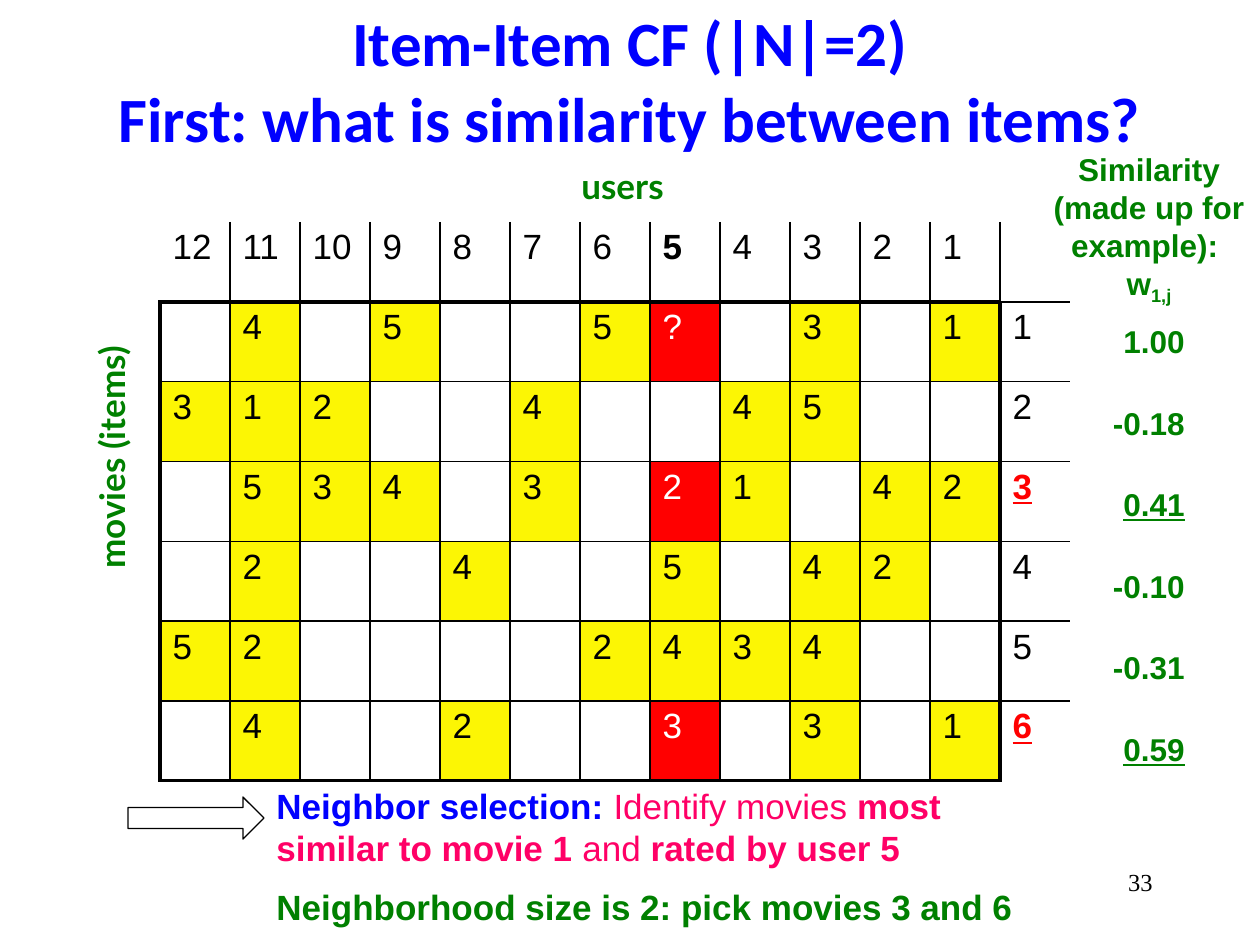
from dataclasses import dataclass

from lxml import etree
from pptx import Presentation
from pptx import util as u
from pptx.dml.color import RGBColor
from pptx.enum import shapes, text
from pptx.oxml.ns import qn


@dataclass(frozen=True)
class Theme:
    black: str = "000000"
    white: str = "FFFFFF"
    blue: str = "0000FF"
    green: str = "008000"
    pink: str = "FF0066"
    red: str = "FF0000"
    yellow: str = "FCF604"
    title_font: str = "Calibri"
    label_font: str = "Lato"
    body_font: str = "Arial"
    number_font: str = "Times New Roman"
    title_size: int = 36
    body_size: int = 20
    weight_size: int = 18
    number_size: int = 14
    thin: float = 1
    thick: float = 2.25


THEME = Theme()
EMU_PER_PX = 914400 / 126

RATINGS = [row.split() for row in (
    ". 4 . 5 . . 5 ? . 3 . 1",
    "3 1 2 . . 4 . . 4 5 . .",
    ". 5 3 4 . 3 . 2 1 . 4 2",
    ". 2 . . 4 . . 5 . 4 2 .",
    "5 2 . . . . 2 4 3 4 . .",
    ". 4 . . 2 . . 3 . 3 . 1",
)]
WEIGHTS = ["1.00", "-0.18", "0.41", "-0.10", "-0.31", "0.59"]
USER_COUNT = len(RATINGS[0])
MOVIE_COUNT = len(RATINGS)
TARGET_USER = 5
TARGET_MOVIE = 1
NEIGHBORS = (3, 6)


def px(length):
    return round(length * EMU_PER_PX)


def place(box):
    return [px(length) for length in box]


def add_run(paragraph, words, color, size=THEME.body_size, font=THEME.body_font,
            bold=True, underline=False):
    run = paragraph.add_run()
    run.text = words
    run.font.name = font
    run.font.size = u.Pt(size)
    run.font.bold = bold
    run.font.underline = underline
    run.font.color.rgb = RGBColor.from_string(color)
    return run


def add_text_box(slide, box, align=text.PP_ALIGN.LEFT, anchor=text.MSO_ANCHOR.TOP):
    shape = slide.shapes.add_textbox(*place(box))
    shape.text_frame.word_wrap = True
    shape.text_frame.vertical_anchor = anchor
    shape.text_frame.paragraphs[0].alignment = align
    return shape


def add_title(slide, box):
    shape = add_text_box(slide, box, text.PP_ALIGN.CENTER, text.MSO_ANCHOR.MIDDLE)
    paragraph = shape.text_frame.paragraphs[0]
    style = (THEME.blue, THEME.title_size, THEME.title_font)
    add_run(paragraph, "Item-Item CF (|N|=2)", *style)
    paragraph.add_line_break()
    add_run(paragraph, "First: what is similarity between items?", *style)


def add_axis_label(slide, box, words, rotation=0):
    shape = add_text_box(slide, box)
    shape.rotation = rotation
    add_run(shape.text_frame.paragraphs[0], words, THEME.green, font=THEME.label_font)


def horizontal_rule(line, column):
    outside = column == USER_COUNT
    if line == 0 or (outside and line == MOVIE_COUNT + 1):
        return 0
    framed = line in (1, MOVIE_COUNT + 1) and not outside
    return THEME.thick if framed else THEME.thin


def vertical_rule(line, row):
    if line == USER_COUNT + 1 or (line == 0 and row == 0):
        return 0
    framed = line in (0, USER_COUNT) and row > 0
    return THEME.thick if framed else THEME.thin


def set_border(cell, tag, width):
    properties = cell._tc.get_or_add_tcPr()
    line = etree.SubElement(properties, qn(tag), w=str(u.Pt(width)))
    if width:
        fill = etree.SubElement(line, qn("a:solidFill"))
        etree.SubElement(fill, qn("a:srgbClr"), val=THEME.black)
    else:
        etree.SubElement(line, qn("a:noFill"))


def style_cell(cell, row, column, words):
    set_border(cell, "a:lnL", vertical_rule(column, row))
    set_border(cell, "a:lnR", vertical_rule(column + 1, row))
    set_border(cell, "a:lnT", horizontal_rule(row, column))
    set_border(cell, "a:lnB", horizontal_rule(row + 1, column))

    user = USER_COUNT - column
    is_rating = row > 0 and user > 0 and words
    highlighted = is_rating and user == TARGET_USER and row in (TARGET_MOVIE, *NEIGHBORS)
    is_neighbor = user == 0 and row in NEIGHBORS
    if is_rating:
        cell.fill.solid()
        fill_color = THEME.red if highlighted else THEME.yellow
        cell.fill.fore_color.rgb = RGBColor.from_string(fill_color)
    else:
        cell.fill.background()
    if words:
        color = THEME.white if highlighted else THEME.red if is_neighbor else THEME.black
        bold = is_neighbor or (row == 0 and user == TARGET_USER)
        add_run(cell.text_frame.paragraphs[0], words, color, bold=bold, underline=is_neighbor)


def add_ratings_table(slide, box):
    header = [str(user) for user in range(USER_COUNT, 0, -1)] + [""]
    body = [[value.replace(".", "") for value in ratings] + [str(movie)]
            for movie, ratings in enumerate(RATINGS, 1)]
    grid = [header] + body
    table = slide.shapes.add_table(len(grid), len(header), *place(box)).table
    table.first_row = False
    table.horz_banding = False
    for row, values in enumerate(grid):
        for column, words in enumerate(values):
            style_cell(table.cell(row, column), row, column, words)


def add_similarity_heading(slide, box):
    frame = add_text_box(slide, box, text.PP_ALIGN.CENTER).text_frame
    style = (THEME.green, THEME.weight_size)
    add_run(frame.paragraphs[0], "Similarity (made up for example): ", *style)
    symbol = frame.add_paragraph()
    symbol.alignment = text.PP_ALIGN.CENTER
    add_run(symbol, "w", *style)
    subscript = add_run(symbol, "1,j", *style)
    subscript.font._element.set("baseline", "-25000")


def add_weights(slide, box):
    frame = add_text_box(slide, box).text_frame
    for movie, weight in enumerate(WEIGHTS, 1):
        paragraph = frame.paragraphs[0] if movie == 1 else frame.add_paragraph()
        paragraph.alignment = text.PP_ALIGN.RIGHT
        paragraph.space_before = u.Pt(0 if movie == 1 else 25)
        add_run(paragraph, weight, THEME.green, THEME.weight_size,
                underline=movie in NEIGHBORS)


def add_neighbor_note(slide, box):
    left, top, width, height = box
    arrow = slide.shapes.add_shape(shapes.MSO_SHAPE.RIGHT_ARROW,
                                   *place((left, top + 19, 136, 42)))
    arrow.shadow.inherit = False
    arrow.fill.background()
    arrow.line.color.rgb = RGBColor.from_string(THEME.black)
    arrow.line.width = u.Pt(0.75)

    frame = add_text_box(slide, (left + 136, top, width - 136, height)).text_frame
    selection = frame.paragraphs[0]
    add_run(selection, "Neighbor selection: ", THEME.blue)
    for words, bold in (("Identify movies ", False), ("most similar to movie 1", True),
                        (" and ", False), ("rated by user 5", True)):
        add_run(selection, words, THEME.pink, bold=bold)
    size_note = frame.add_paragraph()
    size_note.space_before = u.Pt(10)
    add_run(size_note, "Neighborhood size is 2: pick movies 3 and 6", THEME.green)


def add_slide_number(slide, box):
    shape = add_text_box(slide, box, text.PP_ALIGN.RIGHT)
    add_run(shape.text_frame.paragraphs[0], "33", THEME.black, THEME.number_size,
            THEME.number_font, bold=False)


def main():
    presentation = Presentation()
    presentation.slide_width, presentation.slide_height = px(1260), px(945)
    slide = presentation.slides.add_slide(presentation.slide_layouts[6])
    add_title(slide, (63, 0, 1134, 158))
    add_ratings_table(slide, (160, 222, 910, 559))
    add_axis_label(slide, (569, 158, 150, 55), "users")
    add_axis_label(slide, (-39, 403, 301, 55), "movies (items)", 270)
    add_similarity_heading(slide, (1018, 144, 262, 183))
    add_weights(slide, (1073, 316, 124, 454))
    add_neighbor_note(slide, (128, 778, 901, 161))
    add_slide_number(slide, (903, 861, 262, 63))
    presentation.save("out.pptx")


if __name__ == "__main__":
    main()
